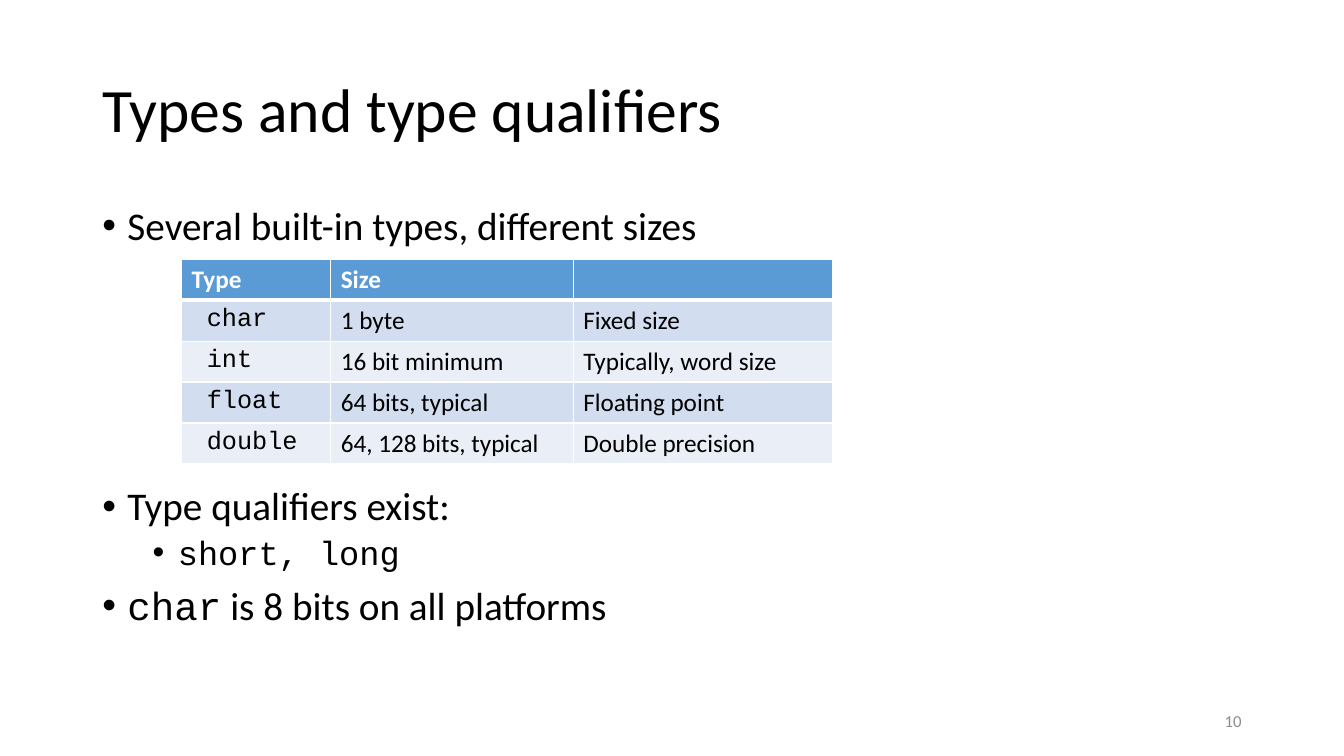
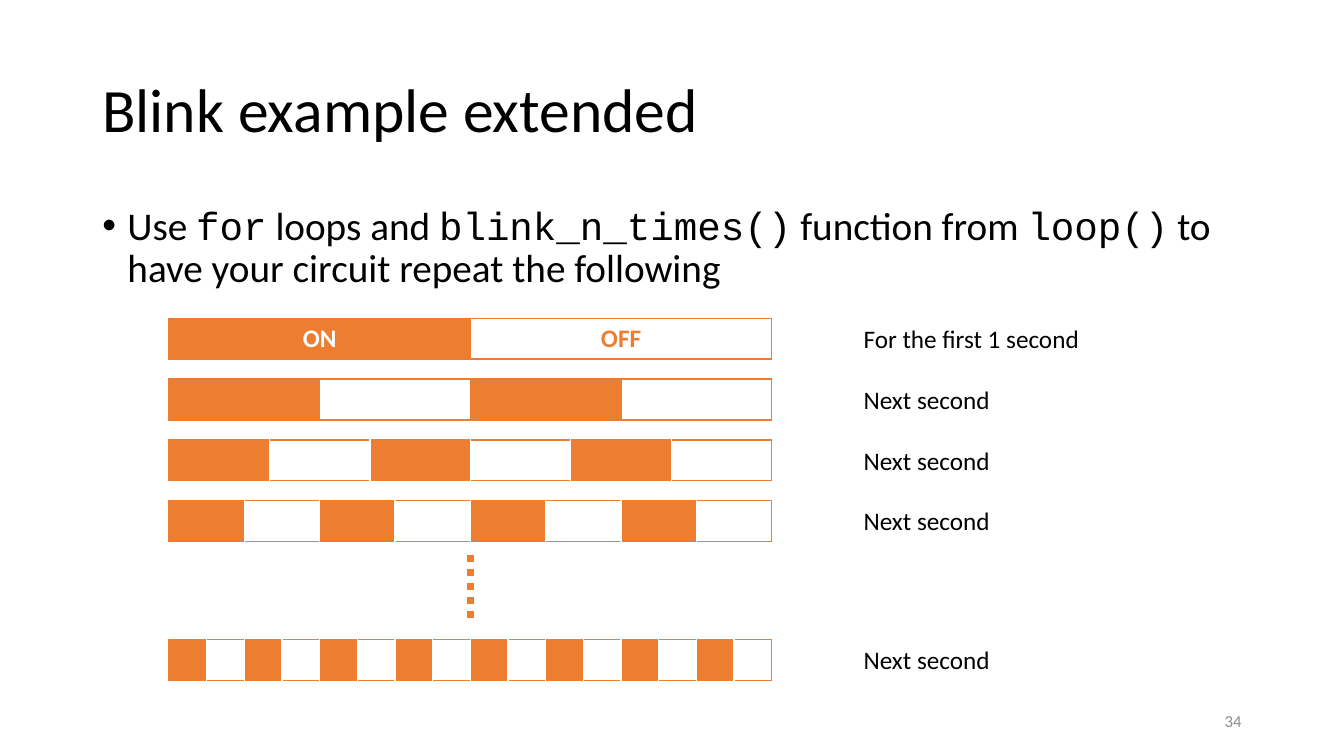
from dataclasses import dataclass
from typing import Optional

from pptx import Presentation
from pptx.dml.color import RGBColor
from pptx.enum.dml import MSO_LINE
from pptx.enum.shapes import MSO_CONNECTOR
from pptx.enum.text import MSO_ANCHOR, PP_ALIGN
from pptx.oxml.ns import qn
from pptx.util import Emu, Pt
from lxml import etree

LEFT, CENTER, RIGHT = PP_ALIGN.LEFT, PP_ALIGN.CENTER, PP_ALIGN.RIGHT
TOP, MIDDLE = MSO_ANCHOR.TOP, MSO_ANCHOR.MIDDLE
STRAIGHT, DOTTED = MSO_CONNECTOR.STRAIGHT, MSO_LINE.ROUND_DOT
PX = 9525  # EMU per px, 96 px to the inch


@dataclass(frozen=True)
class Theme:
    sans: str = "Calibri"
    mono: str = "Courier New"
    black: str = "000000"
    white: str = "FFFFFF"
    grey: str = "8C8C8C"
    blue: str = "5B9BD5"
    bands: tuple = ("D2DEEF", "EAEFF7")
    orange: str = "ED7D31"
    title: int = 44
    bullets: tuple = (28, 24)
    text: int = 18
    footer: int = 12


@dataclass(frozen=True)
class Box:
    x: int
    y: int
    w: int
    h: int

    def emu(self) -> tuple:
        return tuple(px(v) for v in (self.x, self.y, self.w, self.h))


@dataclass(frozen=True)
class Style:
    size: int
    color: str
    bold: bool = False
    align: PP_ALIGN = LEFT


@dataclass(frozen=True)
class Bullet:
    """A bullet paragraph; text between backticks is code."""
    text: str
    level: int = 0
    before: Optional[int] = None


@dataclass(frozen=True)
class Border:
    color: str
    width: int = 1


@dataclass(frozen=True)
class BlinkRow:
    y: int
    segments: int
    divider: str
    caption: str = "Next second"
    names: tuple = ()


T = Theme()
TITLE = Box(88, 38, 1104, 139)
BODY = Box(88, 192, 1104, 457)
FOOTER = Box(904, 667, 288, 38)
ROW_H = 39
INDENT, LEVEL_STEP = 24, 48
SPACE_BEFORE = (10, 5)
TABLE_GAP = 170  # points left free for the table between two bullets

TYPE_COLS = (142, 231, 247)
TYPE_ROWS = (
    ("Type", "Size", ""),
    ("` char`", "1 byte", "Fixed size"),
    ("` int`", "16 bit minimum", "Typically, word size"),
    ("` float`", "64 bits, typical", "Floating point"),
    ("` double`", "64, 128 bits, typical", "Double precision"),
)
BAR_X, BAR_Y, BAR_W, BAR_PITCH = 161, 303, 574, 58
LAST_BAR_Y = 609
CAPTION_X, CAPTION_W = 813, 334
BLINK_ROWS = (
    BlinkRow(BAR_Y, 2, T.orange, "For the first 1 second", ("ON", "OFF")),
    BlinkRow(BAR_Y + BAR_PITCH, 4, T.orange),
    BlinkRow(BAR_Y + 2 * BAR_PITCH, 6, T.white),
    BlinkRow(BAR_Y + 3 * BAR_PITCH, 8, T.white),
    BlinkRow(LAST_BAR_Y, 16, T.white),
)


def px(n: int) -> Emu:
    return Emu(n * PX)


def rgb(color: str) -> RGBColor:
    return RGBColor.from_string(color)


def write(p, text: str, st: Style) -> None:
    """Fill a paragraph, setting the parts between backticks in the code font."""
    p.alignment = st.align
    for i, part in enumerate(text.split("`")):
        if not part:
            continue
        r = p.add_run()
        r.text = part
        r.font.name = T.mono if i % 2 else T.sans
        r.font.size = Pt(st.size)
        r.font.bold = st.bold
        r.font.color.rgb = rgb(st.color)


def add_text_frame(s, box: Box, anchor: MSO_ANCHOR = TOP):
    tf = s.shapes.add_textbox(*box.emu()).text_frame
    tf.word_wrap = True
    tf.vertical_anchor = anchor
    return tf


def add_text(s, box: Box, text: str, st: Style, anchor: MSO_ANCHOR = TOP):
    p = add_text_frame(s, box, anchor).paragraphs[0]
    write(p, text, st)
    return p


def add_bullets(s, bullets: tuple) -> None:
    tf = add_text_frame(s, BODY)
    for i, b in enumerate(bullets):
        p = tf.add_paragraph() if i else tf.paragraphs[0]
        p.level = b.level
        p.line_spacing = 0.9
        p.space_before = Pt(b.before or SPACE_BEFORE[b.level])
        write(p, b.text, Style(T.bullets[b.level], T.black))
        pPr = p._p.get_or_add_pPr()
        pPr.set("marL", str(px(INDENT + b.level * LEVEL_STEP)))
        pPr.set("indent", str(-px(INDENT)))
        etree.SubElement(pPr, qn("a:buFont"), typeface="Arial")
        etree.SubElement(pPr, qn("a:buChar"), char="•")


def add_slide(prs, title: str, number: int, bullets: tuple):
    s = prs.slides.add_slide(prs.slide_layouts[6])
    p = add_text(s, TITLE, title, Style(T.title, T.black), MIDDLE)
    p.line_spacing = 0.9
    add_bullets(s, bullets)
    add_text(s, FOOTER, str(number), Style(T.footer, T.grey, align=RIGHT), MIDDLE)
    return s


def add_table(s, x: int, y: int, widths: list, rows: int):
    """Add a table without a banded style; widths are in EMU."""
    frame = s.shapes.add_table(rows, len(widths), px(x), px(y),
                               Emu(sum(widths)), px(rows * ROW_H))
    table = frame.table
    table.first_row = table.horz_banding = False
    for col, width in zip(table.columns, widths):
        col.width = Emu(width)
    for row in table.rows:
        row.height = px(ROW_H)
    return table


def paint_cell(cell, fill: str, left: Border, right: Border,
               top: Border, bottom: Border) -> None:
    tcPr = cell._tc.get_or_add_tcPr()
    for side, border in zip("LRTB", (left, right, top, bottom)):
        ln = etree.SubElement(tcPr, qn(f"a:ln{side}"), w=str(Pt(border.width)))
        solid = etree.SubElement(ln, qn("a:solidFill"))
        etree.SubElement(solid, qn("a:srgbClr"), val=border.color)
    cell.fill.solid()
    cell.fill.fore_color.rgb = rgb(fill)


def add_type_table(s) -> None:
    table = add_table(s, 173, 247, [px(w) for w in TYPE_COLS], len(TYPE_ROWS))
    thin, thick = Border(T.white), Border(T.white, 3)
    for i, texts in enumerate(TYPE_ROWS):
        header = i == 0
        fill = T.blue if header else T.bands[(i - 1) % 2]
        st = Style(T.text, T.white if header else T.black, bold=header)
        for j, text in enumerate(texts):
            cell = table.cell(i, j)
            paint_cell(cell, fill, thin, thin,
                       thick if i == 1 else thin, thick if header else thin)
            write(cell.text_frame.paragraphs[0], text, st)


def add_blink_row(s, row: BlinkRow) -> None:
    """Draw one second as alternating on and off segments, with its caption."""
    n = row.segments
    table = add_table(s, BAR_X, row.y, [px(BAR_W) // n] * n, 1)
    edge, divider = Border(T.orange), Border(row.divider)
    for j in range(n):
        fill, ink = (T.white, T.orange) if j % 2 else (T.orange, T.white)
        cell = table.cell(0, j)
        paint_cell(cell, fill, divider if j else edge,
                   divider if j < n - 1 else edge, edge, edge)
        if row.names:
            write(cell.text_frame.paragraphs[0], row.names[j],
                  Style(T.text, ink, True, CENTER))
    add_text(s, Box(CAPTION_X, row.y, CAPTION_W, ROW_H), row.caption,
             Style(T.text, T.black))


def add_dots(s) -> None:
    x = BAR_X + BAR_W // 2
    line = s.shapes.add_connector(STRAIGHT, px(x), px(529), px(x), px(593))
    line.line.color.rgb = rgb(T.orange)
    line.line.width = Pt(5)
    line.line.dash_style = DOTTED
    etree.SubElement(line._element.spPr, qn("a:effectLst"))


def build_types(prs) -> None:
    s = add_slide(prs, "Types and type qualifiers", 10, (
        Bullet("Several built-in types, different sizes"),
        Bullet("Type qualifiers exist:", before=TABLE_GAP),
        Bullet("`short, long`", level=1),
        Bullet("`char` is 8 bits on all platforms"),
    ))
    add_type_table(s)


def build_blink(prs) -> None:
    s = add_slide(prs, "Blink example extended", 34, (
        Bullet("Use `for` loops and `blink_n_times()` function from `loop()` "
               "to have your circuit repeat the following"),
    ))
    for row in BLINK_ROWS:
        add_blink_row(s, row)
    add_dots(s)


def main() -> None:
    prs = Presentation()
    prs.slide_width, prs.slide_height = px(1280), px(720)
    build_types(prs)
    build_blink(prs)
    prs.save("out.pptx")


if __name__ == "__main__":
    main()
